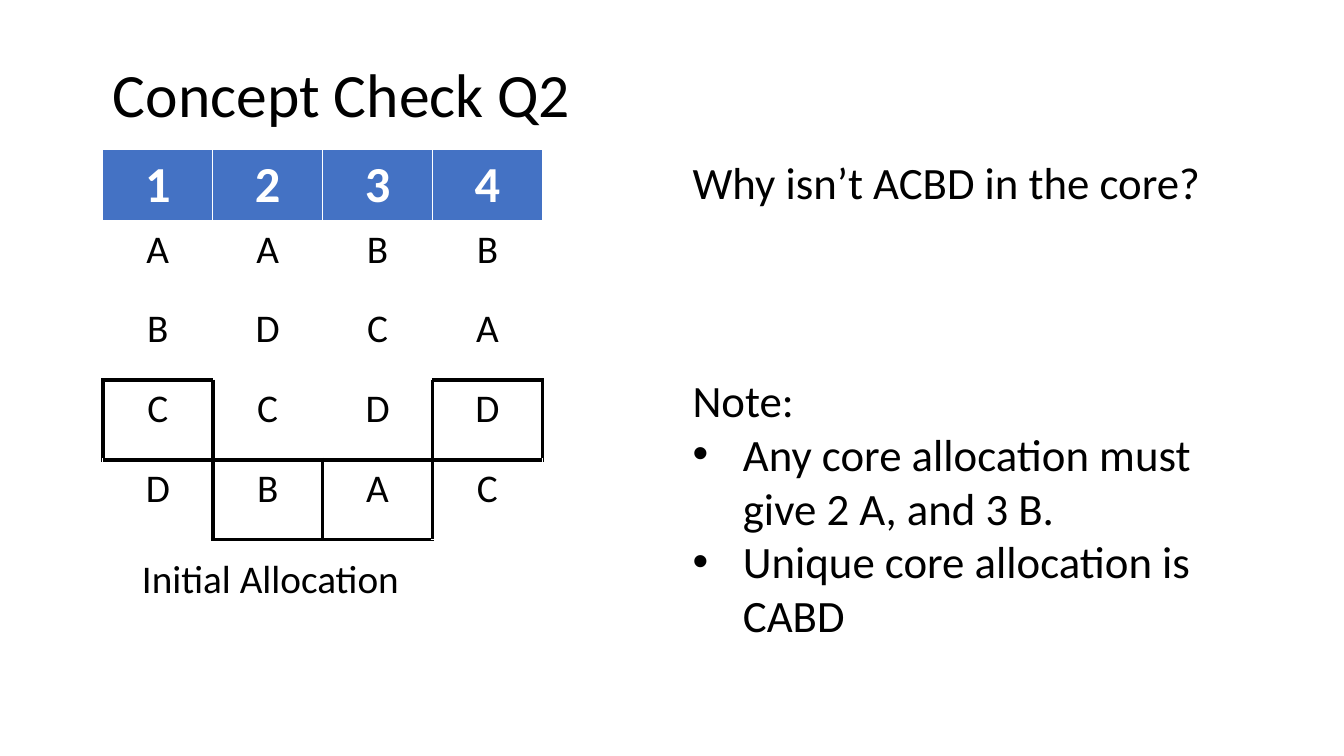
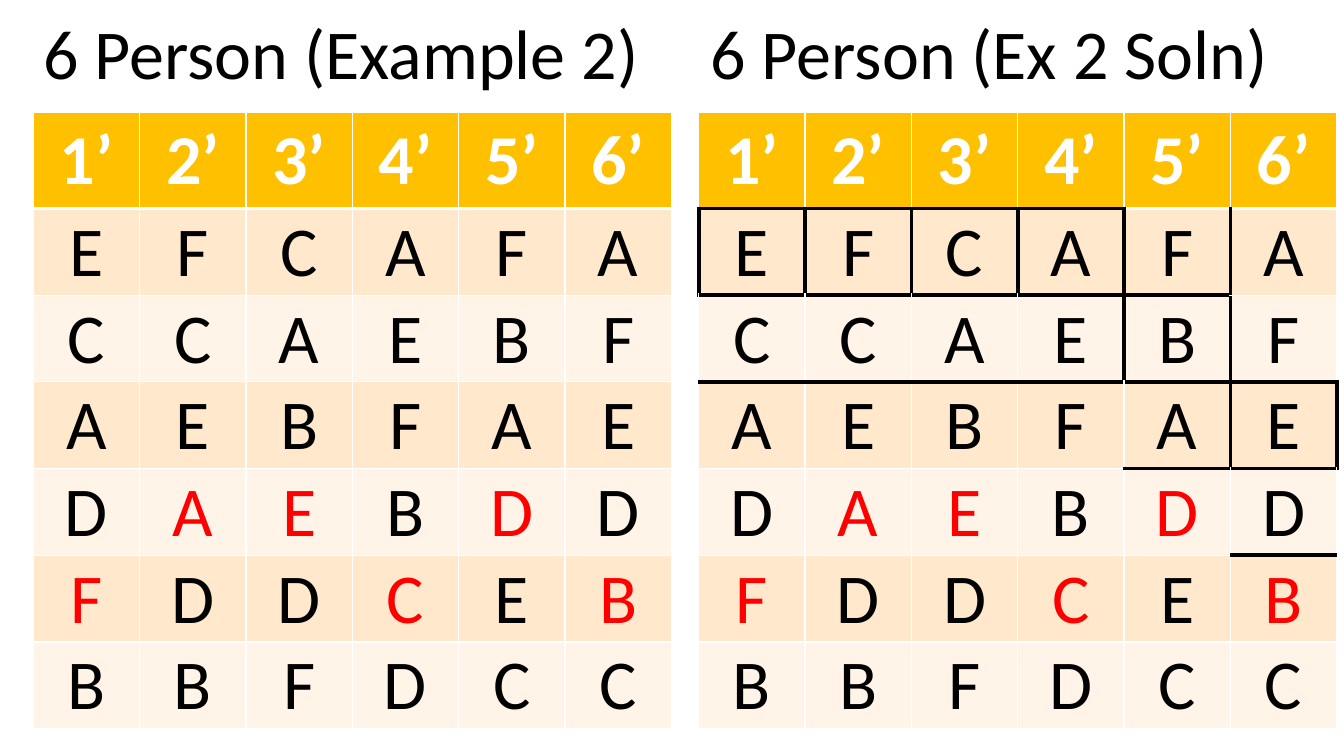
from dataclasses import dataclass
from typing import Optional

from lxml import etree
from pptx import Presentation
from pptx.dml.color import RGBColor
from pptx.enum.text import MSO_ANCHOR as Anchor, MSO_AUTO_SIZE as AutoSize, PP_ALIGN as Align
from pptx.oxml.ns import qn
from pptx.util import Inches, Pt

# Shared look
FONT = "Calibri"
BLACK = RGBColor(0x00, 0x00, 0x00)
WHITE = RGBColor(0xFF, 0xFF, 0xFF)
BLUE = RGBColor(0x44, 0x72, 0xC4)
GOLD = RGBColor(0xFF, 0xC0, 0x00)
PEACH = RGBColor(0xFF, 0xE8, 0xCC)
CREAM = RGBColor(0xFF, 0xF4, 0xE7)
RED = RGBColor(0xFF, 0x00, 0x00)
THIN, THICK = 1, 3
TITLE_ONLY = 5
NO_STYLE = "{2D5ABB26-0587-4C30-8999-92F81FD0307C}"


@dataclass
class TableStyle:
    head_fill: RGBColor
    head_size: int
    body_size: int
    head_height: float
    body_height: float
    column_width: float
    head_rule: int = THIN
    bands: tuple = ()
    anchor: Anchor = Anchor.TOP
    inset: Optional[float] = None


FOUR_PERSON = TableStyle(BLUE, 36, 28, 0.71, 0.79, 1.09)
SIX_PERSON = TableStyle(GOLD, 50, 50, 0.94, 0.86, 1.055, head_rule=THICK,
                        bands=(PEACH, CREAM), anchor=Anchor.BOTTOM, inset=0.01)

# Preference columns, one row of letters per rank
FOUR_ROWS = ["AABB", "BDCA", "CCDD", "DBAC"]
FOUR_INITIAL = [(3, 0), (4, 1), (4, 2), (3, 3)]
SIX_ROWS = ["EFCAFA", "CCAEBF", "AEBFAE", "DAEBDD", "FDDCEB", "BBFDCC"]
SIX_INITIAL = [(5, 0), (4, 1), (4, 2), (5, 3), (4, 4), (5, 5)]
SIX_SOLUTION = [(1, 0), (1, 1), (1, 2), (1, 3), (2, 4), (3, 5)]
SIX_EXTRA_EDGES = {("h", 3, column) for column in range(4)} | {
    ("v", 1, 5), ("h", 4, 4), ("h", 5, 5)}


# Text
def add_span(para, text, size, color=BLACK, bold=False):
    span = para.add_run()
    span.text = text
    span.font.name = FONT
    span.font.size = Pt(size)
    span.font.bold = bold
    span.font.color.rgb = color


def add_bullet(para):
    properties = para._p.get_or_add_pPr()
    properties.set("marL", str(Inches(0.5)))
    properties.set("indent", str(-Inches(0.5)))
    etree.SubElement(properties, qn("a:buFont")).set("typeface", "Arial")
    etree.SubElement(properties, qn("a:buChar")).set("char", "•")


def add_box(page, left, top, width, height):
    box = page.shapes.add_textbox(Inches(left), Inches(top), Inches(width), Inches(height))
    box.text_frame.word_wrap = True
    return box


def add_note(page, area, lines, size):
    """Each line is text, space before in points, and whether it has a bullet."""
    frame = add_box(page, *area).text_frame
    frame.auto_size = AutoSize.SHAPE_TO_FIT_TEXT
    for number, (text, gap, bulleted) in enumerate(lines):
        para = frame.add_paragraph() if number else frame.paragraphs[0]
        if gap:
            para.space_before = Pt(gap)
        if bulleted:
            add_bullet(para)
        add_span(para, text, size)


def format_title(box, text, area, size):
    box.left, box.top, box.width, box.height = (Inches(length) for length in area)
    frame = box.text_frame
    frame.word_wrap = True
    frame.auto_size = AutoSize.NONE
    frame.vertical_anchor = Anchor.MIDDLE
    para = frame.paragraphs[0]
    para.alignment = Align.LEFT
    para.line_spacing = 0.9
    add_span(para, text, size)


# Tables
def box_edges(cells):
    """Grid edges around the boxed cells, as direction, row line and column line."""
    edges = set()
    for row, column in cells:
        edges |= {("h", row, column), ("h", row + 1, column),
                  ("v", row, column), ("v", row, column + 1)}
    return edges


def draw_borders(cell, row, column, heavy_edges, head_rule):
    sides = {"a:lnL": ("v", row, column), "a:lnR": ("v", row, column + 1),
             "a:lnT": ("h", row, column), "a:lnB": ("h", row + 1, column)}
    for tag, edge in sides.items():
        color, width = WHITE, THIN
        if edge in heavy_edges:
            color, width = BLACK, THICK
        elif edge[:2] == ("h", 1):
            width = head_rule
        line = etree.SubElement(cell._tc.get_or_add_tcPr(), qn(tag), w=str(Pt(width)))
        fill = etree.SubElement(line, qn("a:solidFill"))
        etree.SubElement(fill, qn("a:srgbClr"), val=str(color))


def format_cell(cell, text, row, style, color):
    cell.text_frame.paragraphs[0].alignment = Align.CENTER
    if row == 0:
        fill, size = style.head_fill, style.head_size
    else:
        fill = style.bands[(row - 1) % len(style.bands)] if style.bands else None
        size = style.body_size
        cell.vertical_anchor = style.anchor
        if style.inset is not None:
            cell.margin_left = cell.margin_right = cell.margin_top = Inches(style.inset)
            cell.margin_bottom = 0
    if fill is None:
        cell.fill.background()
    else:
        cell.fill.solid()
        cell.fill.fore_color.rgb = fill
    add_span(cell.text_frame.paragraphs[0], text, size, color, bold=row == 0)


def add_preferences(page, left, top, header, rows, style, heavy_edges=(), red_cells=()):
    grid = [header, *rows]
    heights = [style.head_height] + [style.body_height] * len(rows)
    table = page.shapes.add_table(
        len(grid), len(header), Inches(left), Inches(top),
        Inches(style.column_width * len(header)), Inches(sum(heights))).table
    table._tbl.tblPr.find(qn("a:tableStyleId")).text = NO_STYLE
    table.horz_banding = False
    for column in table.columns:
        column.width = Inches(style.column_width)
    for row, (texts, height) in enumerate(zip(grid, heights)):
        table.rows[row].height = Inches(height)
        for column, text in enumerate(texts):
            cell = table.cell(row, column)
            color = WHITE if row == 0 else RED if (row, column) in red_cells else BLACK
            draw_borders(cell, row, column, heavy_edges, style.head_rule)
            format_cell(cell, text, row, style, color)


# Slides
def build_concept_check(deck):
    page = deck.slides.add_slide(deck.slide_layouts[TITLE_ONLY])
    format_title(page.shapes.title, "Concept Check Q2", (1.02, 0.24, 11.5, 1.45), 44)
    add_preferences(page, 1.02, 1.48, "1234", FOUR_ROWS, FOUR_PERSON,
                    box_edges(FOUR_INITIAL))
    add_note(page, (1.31, 5.45, 4.08, 0.57), [("Initial Allocation", 0, False)], 28)
    add_note(page, (6.77, 1.49, 5.55, 4.95), [
        ("Why isn’t ACBD in the core?", 0, False),
        ("Note:", 117, False),
        ("Any core allocation must give 2 A, and 3 B.", 0, True),
        ("Unique core allocation is CABD", 0, True),
    ], 32)


def build_six_person(deck):
    page = deck.slides.add_slide(deck.slide_layouts[TITLE_ONLY])
    header = [f"{person}’" for person in range(1, 7)]
    solution_edges = box_edges(SIX_SOLUTION) | SIX_EXTRA_EDGES
    for left, edges in ((0.33, ()), (6.93, solution_edges)):
        add_preferences(page, left, 1.12, header, SIX_ROWS, SIX_PERSON, edges, SIX_INITIAL)
    example_area, solution_area = ((left, -0.16, 6.33, 1.45) for left in (0.33, 6.95))
    format_title(page.shapes.title, "6 Person (Example 2)", example_area, 50)
    format_title(add_box(page, *solution_area), "6 Person (Ex 2 Soln)", solution_area, 50)


def main():
    deck = Presentation()
    deck.slide_width, deck.slide_height = Inches(13.33), Inches(7.5)
    build_concept_check(deck)
    build_six_person(deck)
    deck.save("out.pptx")


if __name__ == "__main__":
    main()
